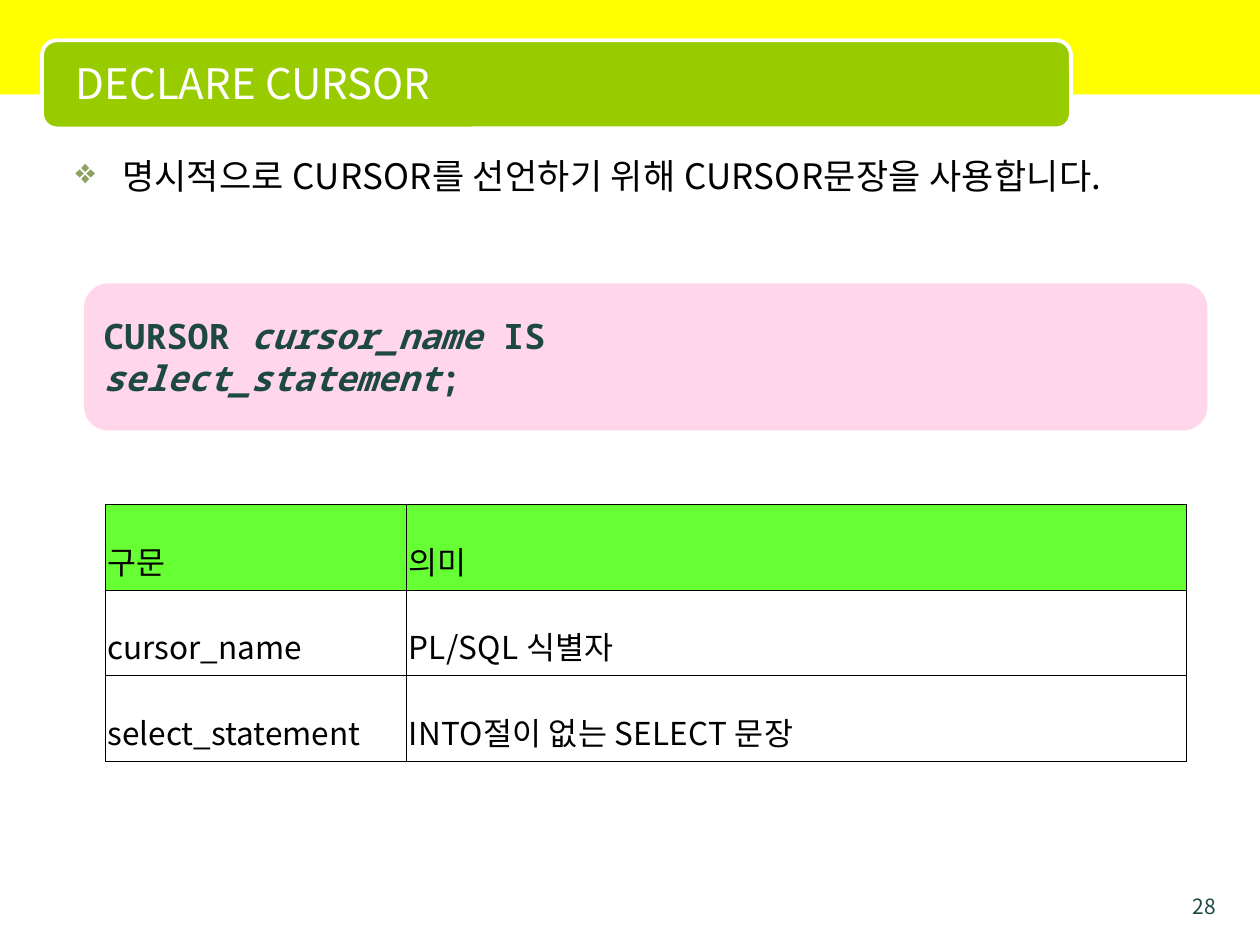
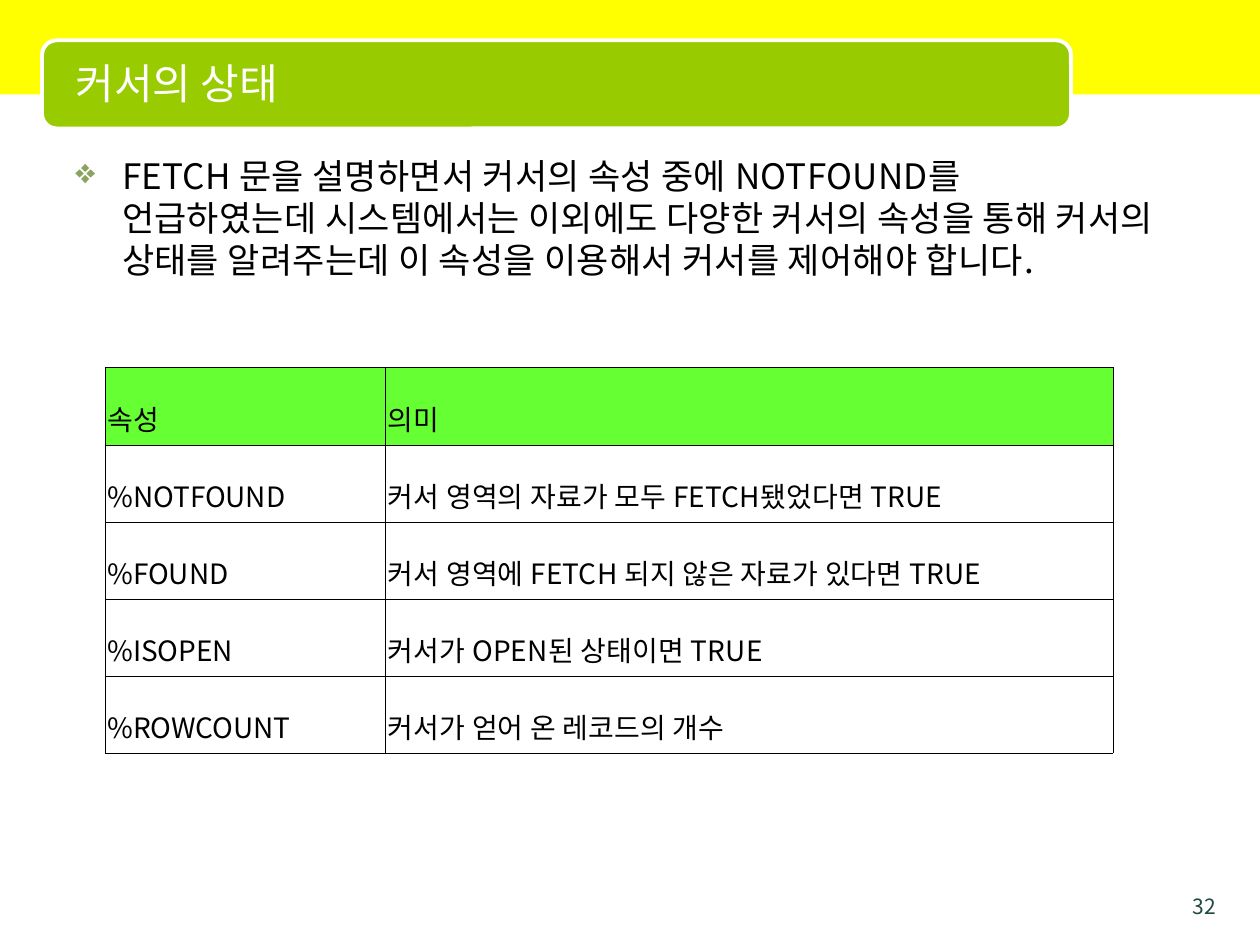
from lxml.etree import SubElement
from pptx import Presentation
from pptx.dml.color import RGBColor
from pptx.enum.shapes import MSO_SHAPE
from pptx.enum.text import MSO_ANCHOR, PP_ALIGN
from pptx.oxml import parse_xml
from pptx.oxml.ns import nsdecls, qn
from pptx.util import Inches, Pt

COLORS = {
    "band": "FFFF00", "banner": "99CC00", "white": "FFFFFF", "black": "000000",
    "ink": "1D4940", "bullet": "8CA35F", "syntax": "FF99CC", "header": "66FF33",
}
SANS, MONO = "Noto Sans CJK KR", "Noto Sans Mono"
COLUMNS, ROWS = 120, 90
WIDTH, HEIGHT = Inches(10), Inches(7.5)
BORDER_WIDTH = Pt(0.11)
HANGUL_TRACKING = "14"


def color(name):
    """Return the named palette colour."""
    return RGBColor.from_string(COLORS[name])


def grid(left, top, width, height):
    """Convert a box in grid columns and rows to slide lengths."""
    return (round(left * WIDTH / COLUMNS), round(top * HEIGHT / ROWS),
            round(width * WIDTH / COLUMNS), round(height * HEIGHT / ROWS))


def format_run(run, size, ink, font=SANS, bold=False, italic=False):
    """Give a run its font, for Latin and Korean letters alike."""
    run.font.size, run.font.name = Pt(size), font
    run.font.bold, run.font.italic = bold, italic
    run.font.color.rgb = color(ink)
    SubElement(run.font._element, qn("a:ea"), typeface=font)


def loosen(run):
    """Track a Korean sentence slightly wider."""
    run.font._element.set("spc", HANGUL_TRACKING)


def add_panel(slide, kind, box, fill, outline=None):
    """Add a flat filled shape with an optional outline."""
    panel = slide.shapes.add_shape(kind, *grid(*box))
    panel.shadow.inherit = False
    panel.fill.solid()
    panel.fill.fore_color.rgb = color(fill)
    if outline:
        panel.line.color.rgb = color(outline)
        panel.line.width = Pt(2.25)
    else:
        panel.line.fill.background()
    return panel


def add_text(slide, box, text, size, ink, align=PP_ALIGN.LEFT):
    """Add a wrapped one-paragraph text box and return its paragraph."""
    frame = slide.shapes.add_textbox(*grid(*box)).text_frame
    frame.word_wrap = True
    paragraph = frame.paragraphs[0]
    paragraph.text, paragraph.alignment = text, align
    format_run(paragraph.runs[0], size, ink)
    return paragraph


def add_frame(prs, heading, number):
    """Add a slide with the shared band, title banner and page number."""
    slide = prs.slides.add_slide(prs.slide_layouts[5])
    add_panel(slide, MSO_SHAPE.RECTANGLE, (0, 0, COLUMNS, 9), "band")
    add_panel(slide, MSO_SHAPE.ROUNDED_RECTANGLE, (4, 3.84, 98, 8.4), "banner", "white")
    add_text(slide, (111, 84.5, 6, 2.5), number, 12, "ink", PP_ALIGN.RIGHT)
    title = slide.shapes.title
    title.left, title.top, title.width, title.height = grid(6, 4.2, 95, 7.4)
    title.text_frame.text = heading
    title.text_frame.vertical_anchor = MSO_ANCHOR.MIDDLE
    title.text_frame.paragraphs[0].alignment = PP_ALIGN.LEFT
    format_run(title.text_frame.paragraphs[0].runs[0], 24, "white")
    slide.shapes.element.append(title.element)
    return slide


def add_bullet(slide, box, text):
    """Add the introductory point with its diamond bullet."""
    paragraph = add_text(slide, box, text, 20, "black")
    loosen(paragraph.runs[0])
    paragraph.space_before, paragraph.line_spacing = Pt(24), Pt(24)
    properties = paragraph._p.get_or_add_pPr()
    properties.set("marL", str(Inches(0.37)))
    properties.set("indent", str(-Inches(0.37)))
    bullet_color = SubElement(properties, qn("a:buClr"))
    SubElement(bullet_color, qn("a:srgbClr"), val=COLORS["bullet"])
    SubElement(properties, qn("a:buChar"), char="❖")


def add_syntax(slide, box, lines):
    """Add the translucent syntax box; each line is (text, italic) pieces."""
    panel = add_panel(slide, MSO_SHAPE.ROUNDED_RECTANGLE, box, "syntax")
    fill_color = panel.fill._xPr.find(qn("a:solidFill"))[0]
    SubElement(fill_color, qn("a:alpha"), val="40000")
    frame = panel.text_frame
    frame.word_wrap, frame.vertical_anchor = True, MSO_ANCHOR.MIDDLE
    frame.text = "\n".join("" for _ in lines)
    for paragraph, pieces in zip(frame.paragraphs, lines):
        paragraph.alignment, paragraph.line_spacing = PP_ALIGN.LEFT, Pt(24)
        for text, italic in pieces:
            run = paragraph.add_run()
            run.text = text
            format_run(run, 20, "ink", MONO, True, italic)


def add_borders(cell):
    """Draw a hairline on all four sides of a cell."""
    properties = cell._tc.get_or_add_tcPr()
    for index, side in enumerate("LRTB"):
        properties.insert(index, parse_xml(
            f'<a:ln{side} {nsdecls("a")} w="{BORDER_WIDTH}"><a:solidFill>'
            f'<a:srgbClr val="{COLORS["black"]}"/></a:solidFill></a:ln{side}>'))


def add_glossary(slide, left, top, column_widths, row_height, entries, size):
    """Add a two-column table of terms and meanings, header first."""
    box = grid(left, top, sum(column_widths), row_height * len(entries))
    table = slide.shapes.add_table(len(entries), 2, *box).table
    for column, width in zip(table.columns, column_widths):
        column.width = round(width * WIDTH / COLUMNS)
    for row, entry in enumerate(entries):
        for column, text in enumerate(entry):
            cell = table.cell(row, column)
            cell.fill.solid()
            cell.fill.fore_color.rgb = color("white" if row else "header")
            cell.margin_left = cell.margin_right = Inches(0.02)
            cell.vertical_anchor = MSO_ANCHOR.MIDDLE
            cell.text_frame.text = text
            paragraph = cell.text_frame.paragraphs[0]
            paragraph.alignment, paragraph.line_spacing = PP_ALIGN.JUSTIFY, 1.6
            format_run(paragraph.runs[0], size, "black")
            if row and column:
                loosen(paragraph.runs[0])
            add_borders(cell)


def main():
    """Build both slides and save the deck."""
    prs = Presentation()
    prs.slide_width, prs.slide_height = WIDTH, HEIGHT
    body = (6, 14.1, 106, 73.7)

    declare = add_frame(prs, "DECLARE CURSOR", "28")
    add_bullet(declare, body, "명시적으로 CURSOR를 선언하기 위해 CURSOR문장을 사용합니다.")
    add_syntax(declare, (8, 27, 107, 14), [
        [("CURSOR ", False), ("cursor_name", True), (" IS", False)],
        [("select_statement", True), (";", False)],
    ])
    add_glossary(declare, 10, 48, (28.7, 74.3), 8.16, [
        ("구문", "의미"),
        ("cursor_name", "PL/SQL 식별자"),
        ("select_statement", "INTO절이 없는 SELECT 문장"),
    ], 18)

    status = add_frame(prs, "커서의 상태", "32")
    add_bullet(status, body, (
        "FETCH 문을 설명하면서 커서의 속성 중에 NOTFOUND를 언급하였는데 "
        "시스템에서는 이외에도 다양한 커서의 속성을 통해 커서의 상태를 "
        "알려주는데 이 속성을 이용해서 커서를 제어해야 합니다."))
    add_glossary(status, 10, 35, (26.7, 69.3), 7.35, [
        ("속성", "의미"),
        ("%NOTFOUND", "커서 영역의 자료가 모두 FETCH됐었다면 TRUE"),
        ("%FOUND", "커서 영역에 FETCH 되지 않은 자료가 있다면 TRUE"),
        ("%ISOPEN", "커서가 OPEN된 상태이면 TRUE"),
        ("%ROWCOUNT", "커서가 얻어 온 레코드의 개수"),
    ], 16)
    prs.save("out.pptx")


if __name__ == "__main__":
    main()
